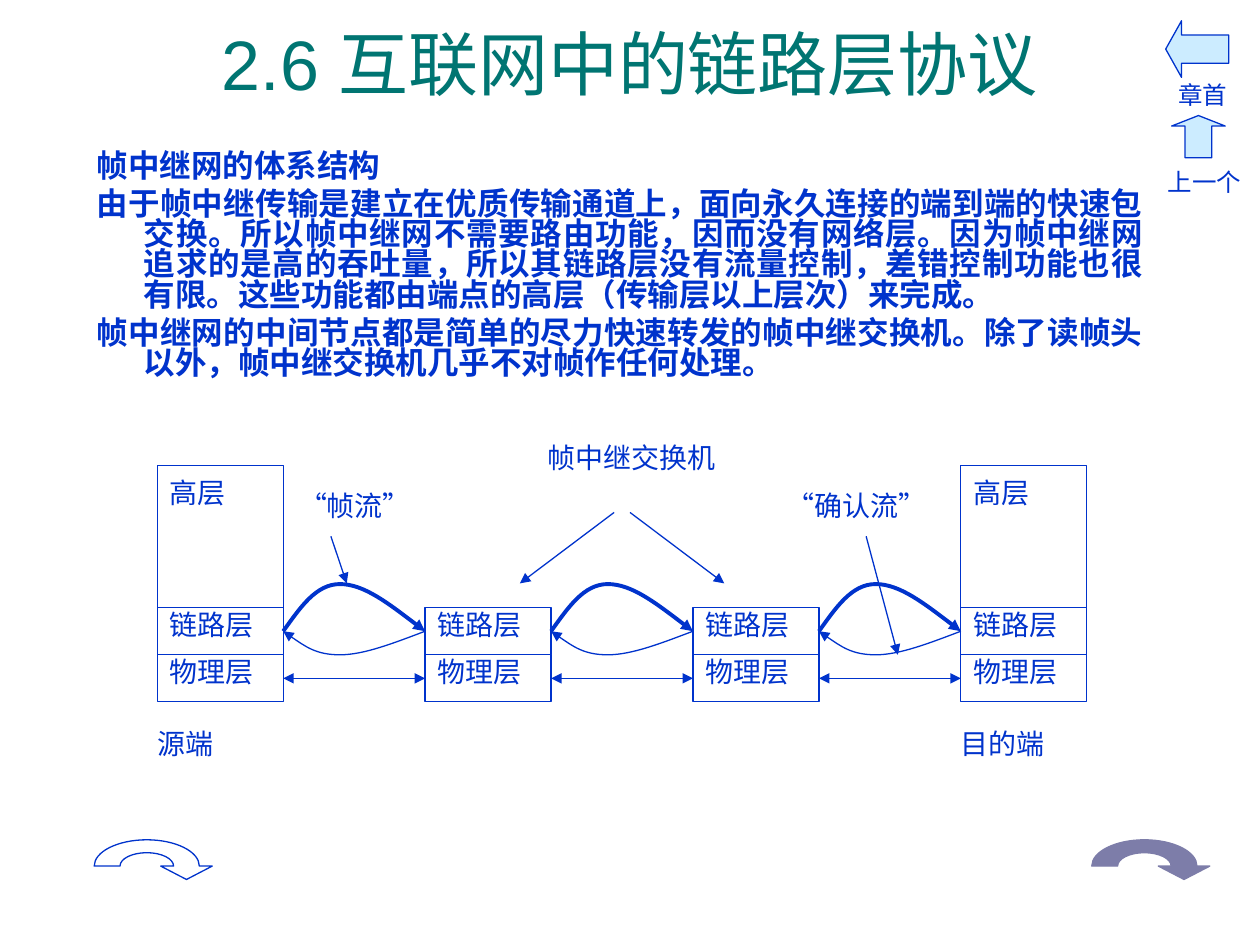
from dataclasses import dataclass
from typing import Optional

from lxml.etree import SubElement
from pptx import Presentation
from pptx.dml.color import RGBColor
from pptx.enum.shapes import MSO_CONNECTOR, MSO_SHAPE
from pptx.enum.text import MSO_ANCHOR, PP_ALIGN
from pptx.oxml.ns import qn
from pptx.util import Cm, Pt

COLORS = {"blue": "0033CC", "teal": "007572", "sky": "CCECFF", "white": "FFFFFF", "slate": "7D7DA9"}
SERIF = "Times New Roman"
COLUMN_LEFT, COLUMN_PITCH, COLUMN_WIDTH = 3.17, 5.4, 2.54
COLUMN_COUNT = 4
HIGH_TOP, LINK_TOP, ROW_HEIGHT = 9.38, 12.25, 0.95
PHYSICAL_TOP = LINK_TOP + ROW_HEIGHT
FLOW_TOP = LINK_TOP + ROW_HEIGHT / 2
GAP_WIDTH = COLUMN_PITCH - COLUMN_WIDTH
FLOW_CURVES = (
    ((0.12, 0.5), (0.23, 1), (0.4, 1)),
    ((0.57, 1), (0.78, 0.5), (1, 0)),
)
ARC_HANDLE = 0.55


@dataclass(frozen=True)
class Label:
    text: str
    left: float
    top: float
    width: float
    height: float
    margins: tuple = (0, 0, 0.25, 0.2)
    size: float = 16
    align: PP_ALIGN = PP_ALIGN.JUSTIFY
    wrap: bool = True
    font: str = SERIF
    color: str = "blue"
    anchor: MSO_ANCHOR = MSO_ANCHOR.TOP


@dataclass(frozen=True)
class Arrow:
    start: tuple
    end: tuple
    double: bool = False


@dataclass(frozen=True)
class BlockArrow:
    kind: MSO_SHAPE
    left: float
    top: float
    width: float
    height: float
    head: float


def rgb(name: str) -> RGBColor:
    return RGBColor.from_string(COLORS[name])


def style_line(shape, color: str = "blue", width: float = 0.75, head: bool = False, tail: bool = False) -> None:
    shape.line.color.rgb = rgb(color)
    shape.line.width = Pt(width)
    for tag, wanted in (("a:headEnd", head), ("a:tailEnd", tail)):
        if wanted:
            SubElement(shape.line._get_or_add_ln(), qn(tag), type="triangle")


def style_fill(shape, fill: Optional[str]) -> None:
    shape.shadow.inherit = False
    if fill:
        shape.fill.solid()
        shape.fill.fore_color.rgb = rgb(fill)
    else:
        shape.fill.background()


def format_runs(paragraph, font: str, size: float, color: str, bold: bool = False) -> None:
    for run in paragraph.runs:
        run.font.name = font
        run.font.size = Pt(size)
        run.font.bold = bold
        run.font.color.rgb = rgb(color)


def write_label(shape, label: Label) -> None:
    frame = shape.text_frame
    frame.word_wrap = label.wrap
    frame.vertical_anchor = label.anchor
    frame.margin_left, frame.margin_top, frame.margin_right, frame.margin_bottom = map(Cm, label.margins)
    frame.text = label.text
    paragraph = frame.paragraphs[0]
    paragraph.alignment = label.align
    format_runs(paragraph, label.font, label.size, label.color)


def add_label(slide, label: Label) -> None:
    shape = slide.shapes.add_textbox(*map(Cm, (label.left, label.top, label.width, label.height)))
    write_label(shape, label)


def add_layer(slide, label: Label) -> None:
    shape = slide.shapes.add_shape(
        MSO_SHAPE.RECTANGLE, *map(Cm, (label.left, label.top, label.width, label.height))
    )
    style_fill(shape, None)
    style_line(shape)
    write_label(shape, label)


def add_arrow(slide, arrow: Arrow) -> None:
    connector = slide.shapes.add_connector(MSO_CONNECTOR.STRAIGHT, *map(Cm, arrow.start + arrow.end))
    style_line(connector, head=arrow.double, tail=True)
    SubElement(connector._element.spPr, qn("a:effectLst"))


def add_block_arrow(slide, arrow: BlockArrow) -> None:
    shape = slide.shapes.add_shape(arrow.kind, *map(Cm, (arrow.left, arrow.top, arrow.width, arrow.height)))
    shape.adjustments[0] = 0.5
    shape.adjustments[1] = arrow.head
    style_fill(shape, "sky")
    style_line(shape)


def add_outline(slide, start: tuple, segments: list, close: bool):
    builder = slide.shapes.build_freeform(*map(Cm, start))
    builder.add_line_segments([(Cm(x), Cm(y)) for segment in segments for x, y in segment], close=close)
    shape = builder.convert_to_shape()
    lines = iter(list(shape._element.iter(qn("a:lnTo"))))
    for segment in segments:
        first, *others = [next(lines) for _ in segment]
        if others:
            first.tag = qn("a:cubicBezTo")
            for line in others:
                first.append(line[0])
                line.getparent().remove(line)
    return shape


def add_flow(slide, left: float, rise: float, width: float, forward: bool) -> None:
    segments = [[(left + x * GAP_WIDTH, FLOW_TOP + y * rise) for x, y in curve] for curve in FLOW_CURVES]
    shape = add_outline(slide, (left, FLOW_TOP), segments, close=False)
    style_fill(shape, None)
    style_line(shape, width=width, head=not forward, tail=forward)


def half_ellipse(center: float, base: float, radius: float, height: float) -> list:
    handle = ARC_HANDLE
    quarters = (
        ((1, handle), (handle, 1), (0, 1)),
        ((-handle, 1), (-1, handle), (-1, 0)),
    )
    return [[(center + x * radius, base - y * height) for x, y in quarter] for quarter in quarters]


def add_turn_arrow(slide, left: float, fill: str, line: str) -> None:
    base, center = 17.46, left + 1.06
    inner = half_ellipse(center, base, 0.54, 0.27)
    outer = half_ellipse(center, base, -1.06, 0.53)
    tip = [[(left + 2.38, base)], [(left + 1.86, base + 0.27)], [(left + 1.34, base)]]
    segments = inner + [[(left, base)]] + outer + tip
    shape = add_outline(slide, (center + 0.54, base), segments, close=True)
    style_fill(shape, fill)
    style_line(shape, line)


def add_body(slide) -> None:
    texts = (
        ("帧中继网的体系结构", "Noto Sans CJK SC"),
        ("由于帧中继传输是建立在优质传输通道上，面向永久连接的端到端的快速包交换。所以帧中继网不需要路由功能，因而没有网络层。因为帧中继网追求的是高的吞吐量，所以其链路层没有流量控制，差错控制功能也很有限。这些功能都由端点的高层（传输层以上层次）来完成。", "Noto Sans CJK SC"),
        ("帧中继网的中间节点都是简单的尽力快速转发的帧中继交换机。除了读帧头以外，帧中继交换机几乎不对帧作任何处理。", "DejaVu Sans Mono"),
    )
    frame = slide.shapes.add_textbox(Cm(1.7), Cm(2.96), Cm(21.6), Cm(5.29)).text_frame
    frame.word_wrap = True
    frame.text = "\n".join(text for text, _ in texts)
    for index, (paragraph, (_, font)) in enumerate(zip(frame.paragraphs, texts)):
        properties = paragraph._p.get_or_add_pPr()
        properties.set("marL", str(Cm(0.95)))
        properties.set("indent", str(-Cm(0.95)))
        paragraph.alignment = PP_ALIGN.JUSTIFY
        paragraph.line_spacing = 0.8
        paragraph.space_before = Pt(4.5 if index else 0)
        format_runs(paragraph, font, 18, "blue", bold=True)


def add_stacks(slide) -> None:
    for index in range(COLUMN_COUNT):
        left = COLUMN_LEFT + index * COLUMN_PITCH
        right = left + COLUMN_WIDTH
        for text, top in (("链路层", LINK_TOP), ("物理层", PHYSICAL_TOP)):
            add_layer(slide, Label(text, left, top, COLUMN_WIDTH, ROW_HEIGHT, (0.25, 0, 0.25, 0.13)))
        if index in (0, COLUMN_COUNT - 1):
            add_layer(slide, Label("高层", left, HIGH_TOP, COLUMN_WIDTH, LINK_TOP - HIGH_TOP, (0.25, 0.2, 0.25, 0.2)))
        if index < COLUMN_COUNT - 1:
            middle = PHYSICAL_TOP + ROW_HEIGHT / 2
            add_arrow(slide, Arrow((right, middle), (right + GAP_WIDTH, middle), double=True))
            add_flow(slide, right, ROW_HEIGHT / 2, 0.75, forward=False)
            add_flow(slide, right, -ROW_HEIGHT, 2.25, forward=True)


def main() -> None:
    presentation = Presentation()
    presentation.slide_width, presentation.slide_height = Cm(25.4), Cm(19.05)
    slide = presentation.slides.add_slide(presentation.slide_layouts[6])
    inset = (0.25, 0.13, 0.25, 0.13)
    labels = (
        Label("2.6 互联网中的链路层协议", 1.9, 0.42, 21.59, 1.69, inset, 40, PP_ALIGN.CENTER,
              font="Arial", color="teal", anchor=MSO_ANCHOR.MIDDLE),
        Label("上一个", 23.29, 3.23, 2.11, 0.86, inset, 14, PP_ALIGN.LEFT),
        Label("章首", 23.5, 1.48, 1.5, 0.86, inset, 14, PP_ALIGN.LEFT, wrap=False),
        Label("帧中继交换机", 10.79, 8.89, 4.45, 1.45, (0.25, 0, 0.25, 0.13)),
        Label("“帧流”", 6.03, 9.85, 2.86, 1.45),
        Label("“确认流”", 15.56, 9.85, 3.48, 1.45, (0.3, 0, 0, 0.2)),
        Label("源端", COLUMN_LEFT, 14.65, 2.86, 1.45),
        Label("目的端", COLUMN_LEFT + 3 * COLUMN_PITCH, 14.65, 2.86, 1.45),
    )
    for label in labels:
        add_label(slide, label)
    add_body(slide)
    add_block_arrow(slide, BlockArrow(MSO_SHAPE.UP_ARROW, 23.62, 2.33, 1.08, 0.85, 0.25))
    add_block_arrow(slide, BlockArrow(MSO_SHAPE.LEFT_ARROW, 23.5, 0.42, 1.27, 1.14, 0.28))
    add_turn_arrow(slide, 1.9, "white", "blue")
    add_turn_arrow(slide, 22.01, "slate", "slate")
    add_stacks(slide)
    for arrow in (
        Arrow((12.38, 10.33), (10.48, 11.76)),
        Arrow((12.7, 10.33), (14.6, 11.76)),
        Arrow((6.67, 10.81), (6.99, 11.76)),
        Arrow((17.46, 10.81), (18.1, 13.2)),
    ):
        add_arrow(slide, arrow)
    presentation.save("out.pptx")


if __name__ == "__main__":
    main()
